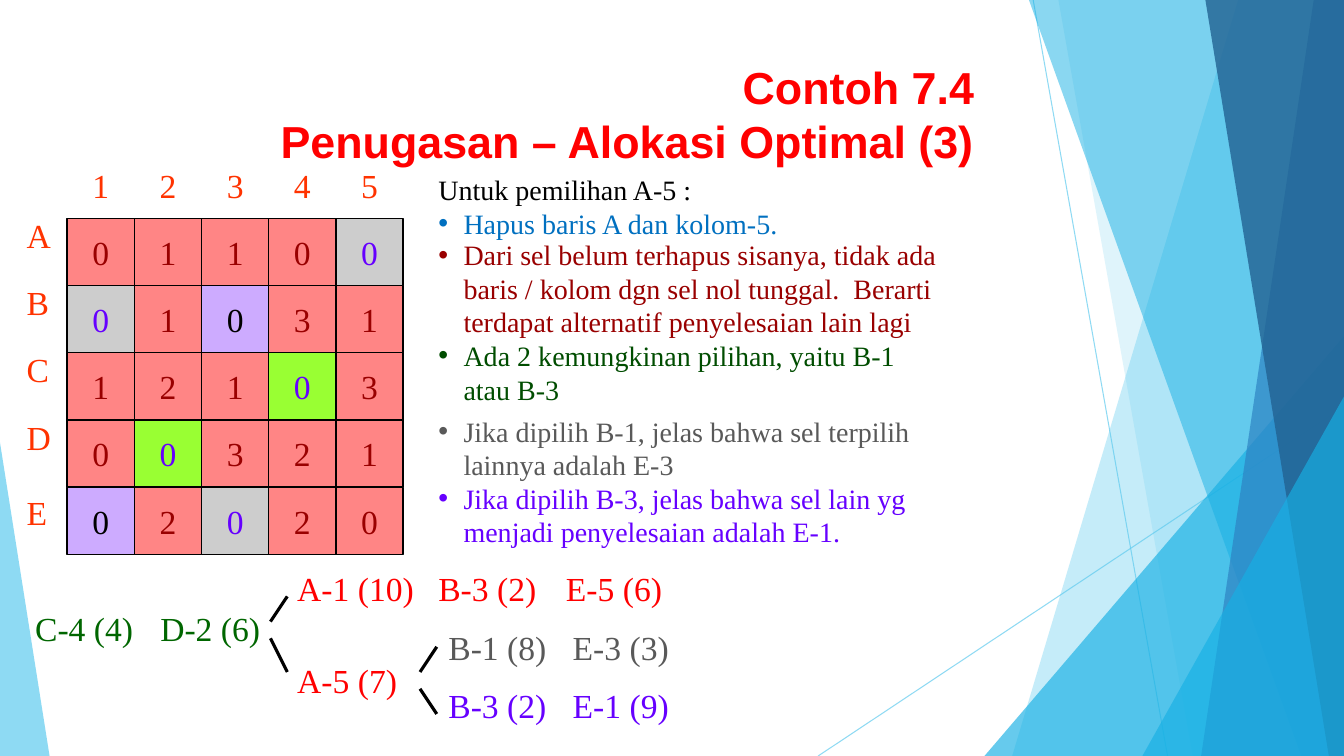
"""Build the slide on the optimal assignment example 7.4."""
from lxml.etree import SubElement
from pptx import Presentation
from pptx.dml.color import RGBColor
from pptx.enum.shapes import MSO_CONNECTOR as Connector, MSO_SHAPE as Shape
from pptx.enum.text import MSO_ANCHOR as Anchor, PP_ALIGN as Align
from pptx.oxml.ns import qn
from pptx.util import Inches, Pt

BLACK = RGBColor(0x00, 0x00, 0x00)
RED = RGBColor(0xFF, 0x00, 0x00)
ORANGE = RGBColor(0xFF, 0x33, 0x00)
MAROON = RGBColor(0x99, 0x00, 0x00)
GREEN = RGBColor(0x00, 0x66, 0x00)
DARK_GREEN = RGBColor(0x00, 0x4D, 0x00)
BLUE = RGBColor(0x00, 0x70, 0xC0)
VIOLET = RGBColor(0x66, 0x00, 0xFF)
GREY = RGBColor(0x59, 0x59, 0x59)
PINK = RGBColor(0xFF, 0x85, 0x85)
LIME = RGBColor(0x99, 0xFF, 0x33)
SILVER = RGBColor(0xCD, 0xCD, 0xCD)
LILAC = RGBColor(0xCD, 0xAB, 0xFF)
SKY = RGBColor(0x5F, 0xCB, 0xEF)
AZURE = RGBColor(0x17, 0xB0, 0xE4)
STEEL = RGBColor(0x2E, 0x83, 0xC3)
NAVY = RGBColor(0x22, 0x62, 0x92)

COLUMNS, ROWS = 80, 45
UNIT = Inches(7.5) // ROWS
CELL = 4
SERIF = "Times New Roman"

deck = Presentation()
deck.slide_width = COLUMNS * UNIT
deck.slide_height = ROWS * UNIT
page = deck.slides.add_slide(deck.slide_layouts[5])


def grid(*lengths):
    return [round(length * UNIT) for length in lengths]


def add_text(left, top, width, height, lines, size, align=Align.LEFT, bullet=False):
    box = page.shapes.add_textbox(*grid(left, top, width, height))
    frame = box.text_frame
    frame.word_wrap = True
    frame.text = "\n".join(text for text, color in lines)
    for para, (text, color) in zip(frame.paragraphs, lines):
        para.alignment = align
        if bullet:
            properties = para._p.get_or_add_pPr()
            properties.set("marL", str(Inches(0.25)))
            properties.set("indent", str(-Inches(0.25)))
            SubElement(properties, qn("a:buFont"), typeface="Arial")
            SubElement(properties, qn("a:buChar"), char="•")
        span = para.runs[0]
        span.font.name = SERIF
        span.font.size = Pt(size)
        span.font.color.rgb = color
    return box


lines = [
    (61.5, 0, 69.5, 45, SKY, 0.75, 70),
    (80, 24.2, 48.7, 45, SKY, 0.75, 70),
    (16.1, 37, 17.1, 35.5, BLACK, 2.25, 100),
    (16.1, 38, 17.1, 40, BLACK, 2.25, 100),
    (25, 40, 26, 38.5, BLACK, 2.25, 100),
    (25, 41, 26, 42.5, BLACK, 2.25, 100),
]
for *ends, color, weight, opacity in lines:
    line = page.shapes.add_connector(Connector.STRAIGHT, *grid(*ends))
    line.line.color.rgb = color
    line.line.width = Pt(weight)
    SubElement(line._element.spPr, qn("a:effectLst"))
    tint = line._element.spPr.find(".//" + qn("a:srgbClr"))
    SubElement(tint, qn("a:alpha"), val=str(opacity * 1000))

shards = [
    ("band", (73.7, 60.25), SKY, 36),
    ("band", (63, 71), SKY, 20),
    ("triangle", (58.6, 20, 80, 1), AZURE, 66),
    ("band", (61.25, 77.45), AZURE, 50),
    ("band", (78.2, 71.5), STEEL, 70),
    ("band", (71.75, 79.1), NAVY, 80),
    ("triangle", (68, 23.6, 80, 1), AZURE, 66),
    ("triangle", (0, 26.35, 2.95, 0), SKY, 70),
]
for kind, measures, color, opacity in shards:
    if kind == "band":
        top_left, bottom_left = measures
        outline = page.shapes.build_freeform(*grid(top_left, 0))
        corners = [(COLUMNS, 0), (COLUMNS, ROWS), (bottom_left, ROWS)]
        outline.add_line_segments([grid(*corner) for corner in corners], close=True)
        shard = outline.convert_to_shape()
    else:
        left, top, right, peak = measures
        shard = page.shapes.add_shape(
            Shape.ISOSCELES_TRIANGLE, *grid(left, top, right - left, ROWS - top))
        shard.adjustments[0] = peak
    shard.shadow.inherit = False
    shard.line.fill.background()
    shard.fill.solid()
    shard.fill.fore_color.rgb = color
    tint = shard._element.spPr.find(".//" + qn("a:srgbClr"))
    SubElement(tint, qn("a:alpha"), val=str(opacity * 1000))

title = page.shapes.title
title.left, title.top, title.width, title.height = grid(13, 3, 45.6, 7.5)
title.text_frame.text = "Contoh 7.4\nPenugasan – Alokasi Optimal (3)"
title.text_frame.vertical_anchor = Anchor.MIDDLE
for para in title.text_frame.paragraphs:
    para.alignment = Align.RIGHT
    para.font.name = "Arial"
    para.font.size = Pt(32)
    para.font.bold = True
    para.font.color.rgb = RED

for column, label in enumerate("12345"):
    add_text(4.5 + CELL * column, 9.5, 3, 3, [(label, ORANGE)], 24, Align.CENTER)
for label, top in zip("ABCDE", (12.5, 16.5, 20.5, 24.5, 29)):
    add_text(1, top, 3, 3, [(label, ORANGE)], 24)

costs = ["01100", "01031", "12103", "00321", "02020"]
marks = ["....s", "s.l..", "...g.", ".g...", "l.s.."]
styles = {".": (PINK, MAROON), "s": (SILVER, VIOLET), "l": (LILAC, BLACK), "g": (LIME, VIOLET)}
for row, (values, row_marks) in enumerate(zip(costs, marks)):
    for column, (value, mark) in enumerate(zip(values, row_marks)):
        left, top = 4 + CELL * column, 13 + CELL * row
        fill, ink = styles[mark]
        square = page.shapes.add_shape(Shape.RECTANGLE, *grid(left, top, CELL, CELL))
        square.shadow.inherit = False
        square.line.color.rgb = BLACK
        square.line.width = Pt(1)
        digit = add_text(left + 0.9, top + 0.5, 2.2, 3, [(value, ink)], 24, Align.CENTER)
        for part in (square, digit):
            part.fill.solid()
            part.fill.fore_color.rgb = fill

add_text(25.5, 9.95, 32.5, 2.6, [("Untuk pemilihan A-5 :", BLACK)], 20)
notes = [
    (12, 2.6, [("Hapus baris A dan kolom-5.", BLUE)]),
    (13.85, 10.7, [
        ("Dari sel belum terhapus sisanya, tidak ada baris / kolom dgn sel nol tunggal.  "
         "Berarti terdapat alternatif penyelesaian lain lagi", MAROON),
        ("Ada 2 kemungkinan pilihan, yaitu B-1 atau B-3", DARK_GREEN)]),
    (24.35, 4.6, [("Jika dipilih B-1, jelas bahwa sel terpilih lainnya adalah E-3", GREY)]),
    (28.35, 4.6, [
        ("Jika dipilih B-3, jelas bahwa sel lain yg menjadi penyelesaian adalah E-1.", VIOLET)]),
]
for top, height, points in notes:
    add_text(25.5, top, 31.5, height, points, 20, bullet=True)

choices = [
    (1.5, 35.9, "C-4 (4)", GREEN),
    (8.95, 35.9, "D-2 (6)", GREEN),
    (17.1, 33.5, "A-1 (10)", RED),
    (25.5, 33.5, "B-3 (2)", RED),
    (33.1, 33.5, "E-5 (6)", RED),
    (17.1, 39, "A-5 (7)", RED),
    (26.1, 37, "B-1 (8)", GREY),
    (33.5, 37, "E-3 (3)", GREY),
    (26.1, 40.5, "B-3 (2)", VIOLET),
    (33.5, 40.5, "E-1 (9)", VIOLET),
]
for left, top, choice, color in choices:
    add_text(left, top, len(choice) + 0.5, 3, [(choice, color)], 24)

deck.save("out.pptx")
